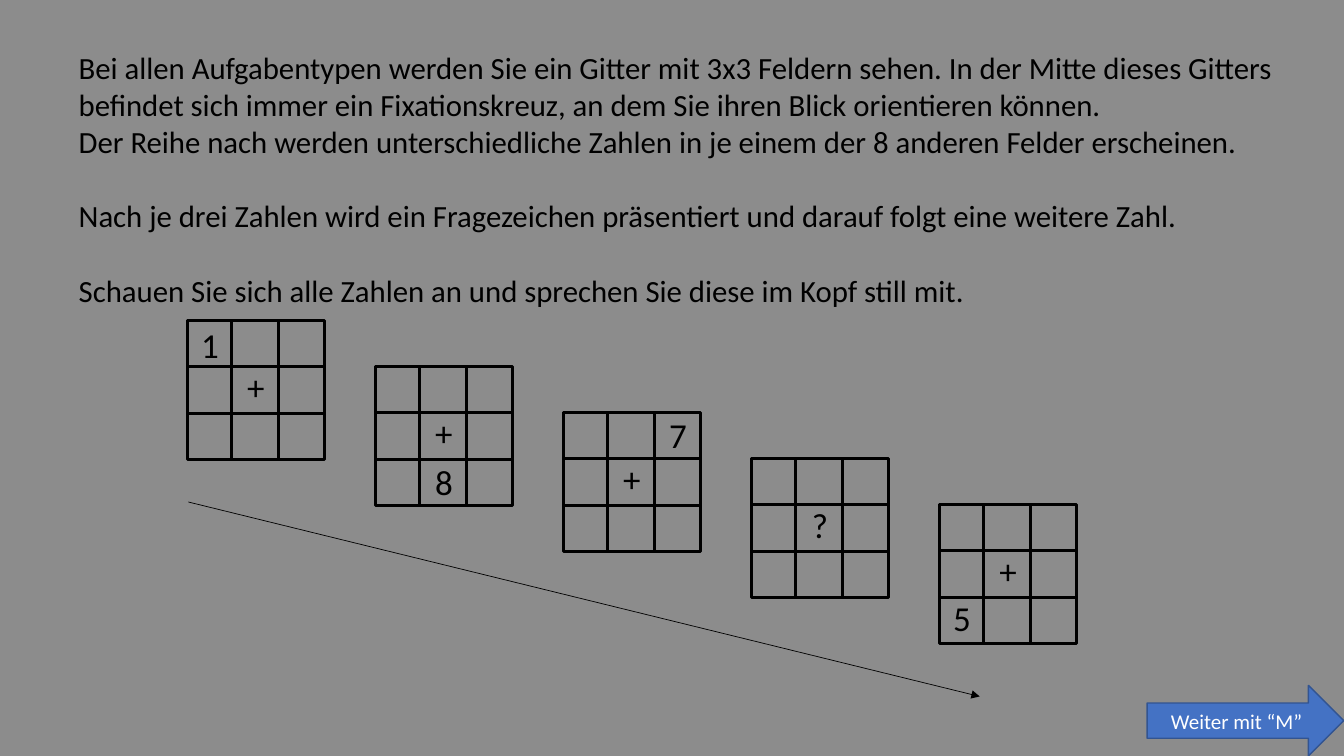
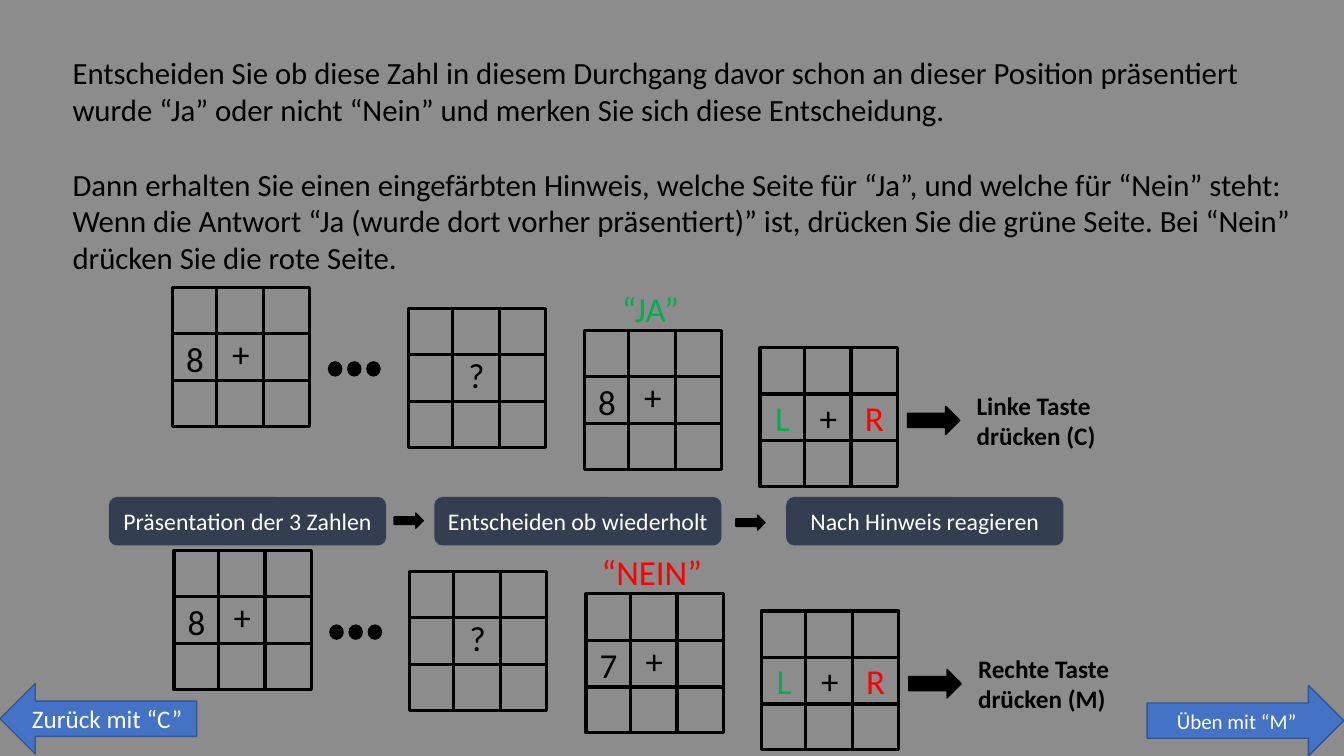
"""Build two instruction slides for a 3x3 grid memory task."""
from dataclasses import dataclass

from lxml.etree import SubElement
from pptx import Presentation
from pptx.dml.color import RGBColor
from pptx.enum.shapes import MSO_CONNECTOR, MSO_SHAPE
from pptx.enum.text import MSO_ANCHOR, MSO_AUTO_SIZE, PP_ALIGN
from pptx.oxml.ns import qn
from pptx.presentation import Presentation as Deck
from pptx.shapes.autoshape import Shape
from pptx.shapes.connector import Connector
from pptx.shapes.shapetree import GroupShapes
from pptx.slide import Slide
from pptx.text.text import TextFrame
from pptx.util import Pt


@dataclass(frozen=True)
class Theme:
    """Colours, font and type sizes of the deck."""
    font: str = "Calibri"
    background: str = "8C8C8C"
    ink: str = "000000"
    paper: str = "FFFFFF"
    button: str = "4472C4"
    button_edge: str = "325491"
    step: str = "333F50"
    yes: str = "00B050"
    no: str = "FF0000"
    body_size: int = 22
    mark_size: int = 25
    key_size: int = 18
    step_size: int = 17
    button_size: int = 15
    back_size: int = 18
    paragraph_gap: int = 27


THEME = Theme()


@dataclass(frozen=True)
class Box:
    """Position and size in points."""
    left: float
    top: float
    width: float
    height: float


@dataclass(frozen=True)
class Mark:
    """A character in one cell of a grid."""
    text: str
    column: int
    row: int
    color: str = THEME.ink
    rise: float = 0


@dataclass(frozen=True)
class Instruction:
    """A paragraph of the instructions and whether a gap precedes it."""
    text: str
    gap: bool = False


@dataclass(frozen=True)
class Trial:
    """One worked example, from the numbers to the key press."""
    left: float
    top: float
    probe: str
    answer: str
    color: str
    key: str


@dataclass(frozen=True)
class Step:
    """A labelled phase of the task."""
    text: str
    left: float
    width: float


GRID_WIDTH, GRID_HEIGHT = 98, 99.3
COLUMN_LINES, ROW_LINES = (31.5, 65), (33, 66.5)
CELL = 32.8
PLUS = Mark("+", 1, 1, rise=2.2)
QUESTION = Mark("?", 1, 1, rise=2.2)
HINTS = (Mark("L", 0, 1, THEME.yes), Mark("+", 1, 1), Mark("R", 2, 1, THEME.no))
NEXT_BOX = Box(819.4, 489.6, 140.4, 50.4)
BACK_BOX = Box(0, 488.2, 140.4, 50.4)

SEQUENCE = (
    (PLUS, Mark("1", 0, 0)),
    (PLUS, Mark("8", 1, 2)),
    (PLUS, Mark("7", 2, 0, rise=1)),
    (QUESTION,),
    (PLUS, Mark("5", 0, 2, rise=1.5)),
)
TRIALS = (
    Trial(123.3, 205.2, "8", "“JA”", THEME.yes, "Linke Taste drücken (C)"),
    Trial(124.3, 393.2, "7", "“NEIN”", THEME.no, "Rechte Taste drücken (M)"),
)
STEPS = (
    Step("Präsentation der 3 Zahlen", 77.8, 198),
    Step("Entscheiden ob wiederholt", 310.3, 205),
    Step("Nach Hinweis reagieren", 561.6, 198),
)
TASK = (
    Instruction("Bei allen Aufgabentypen werden Sie ein Gitter mit 3x3 Feldern sehen. In der Mitte dieses "
                "Gitters befindet sich immer ein Fixationskreuz, an dem Sie ihren Blick orientieren können."),
    Instruction("Der Reihe nach werden unterschiedliche Zahlen in je einem der 8 anderen Felder erscheinen."),
    Instruction("Nach je drei Zahlen wird ein Fragezeichen präsentiert und darauf folgt eine weitere Zahl.", True),
    Instruction("Schauen Sie sich alle Zahlen an und sprechen Sie diese im Kopf still mit.", True),
)
DECISION = (
    Instruction("Entscheiden Sie ob diese Zahl in diesem Durchgang davor schon an dieser Position präsentiert "
                "wurde “Ja” oder nicht “Nein” und merken Sie sich diese Entscheidung."),
    Instruction("Dann erhalten Sie einen eingefärbten Hinweis, welche Seite für “Ja”, und welche für “Nein” "
                "steht: Wenn die Antwort “Ja (wurde dort vorher präsentiert)” ist, drücken Sie die grüne "
                "Seite. Bei “Nein” drücken Sie die rote Seite.", True),
)


def rgb(color: str) -> RGBColor:
    """Turn a hex string into a colour."""
    return RGBColor.from_string(color)


def points(box: Box) -> tuple[Pt, Pt, Pt, Pt]:
    """Turn a box into lengths."""
    return Pt(box.left), Pt(box.top), Pt(box.width), Pt(box.height)


def write(frame: TextFrame, text: str, size: float, color: str, centred: bool = True, bold: bool = False) -> None:
    """Write one paragraph into a text frame."""
    frame.word_wrap = True
    paragraph = frame.paragraphs[0]
    paragraph.text = text
    paragraph.alignment = PP_ALIGN.CENTER if centred else PP_ALIGN.LEFT
    font = paragraph.font
    font.name, font.size, font.bold = THEME.font, Pt(size), bold
    font.color.rgb = rgb(color)


def draw_shape(shapes: GroupShapes, kind: MSO_SHAPE, box: Box, fill: str | None = None,
               edge: str | None = None, weight: float = 1) -> Shape:
    """Draw a flat preset shape."""
    shape = shapes.add_shape(kind, *points(box))
    shape.shadow.inherit = False
    if fill:
        shape.fill.solid()
        shape.fill.fore_color.rgb = rgb(fill)
    else:
        shape.fill.background()
    if edge:
        shape.line.color.rgb = rgb(edge)
        shape.line.width = Pt(weight)
    else:
        shape.line.fill.background()
    return shape


def draw_label(shapes: GroupShapes, kind: MSO_SHAPE, box: Box, text: str, size: float,
               fill: str, edge: str | None = None) -> None:
    """Draw a filled shape with centred white text."""
    frame = draw_shape(shapes, kind, box, fill, edge).text_frame
    frame.margin_left = frame.margin_right = 0
    frame.vertical_anchor = MSO_ANCHOR.MIDDLE
    write(frame, text, size, THEME.paper)


def draw_line(shapes: GroupShapes, x1: float, y1: float, x2: float, y2: float, weight: float) -> Connector:
    """Draw a straight line without a shadow."""
    line = shapes.add_connector(MSO_CONNECTOR.STRAIGHT, Pt(x1), Pt(y1), Pt(x2), Pt(y2))
    line.line.color.rgb = rgb(THEME.ink)
    line.line.width = Pt(weight)
    SubElement(line._element.spPr, qn("a:effectLst"))
    return line


def draw_grid(slide: Slide, left: float, top: float, marks: tuple[Mark, ...]) -> None:
    """Draw a 3x3 grid and its marks as one group."""
    shapes = slide.shapes.add_group_shape().shapes
    draw_shape(shapes, MSO_SHAPE.RECTANGLE, Box(left, top, GRID_WIDTH, GRID_HEIGHT), edge=THEME.ink, weight=2.25)
    for offset in COLUMN_LINES:
        draw_line(shapes, left + offset, top, left + offset, top + GRID_HEIGHT, 2.25)
    for offset in ROW_LINES:
        draw_line(shapes, left - 1, top + offset, left + GRID_WIDTH - 1, top + offset, 2.25)
    for mark in marks:
        box = Box(left + 3 + mark.column * CELL, top - 1.8 + mark.row * CELL - mark.rise, 26, 37.4)
        frame = shapes.add_textbox(*points(box)).text_frame
        frame.margin_left = frame.margin_right = 0
        write(frame, mark.text, THEME.mark_size, mark.color)


def add_instruction_slide(deck: Deck, box: Box, instructions: tuple[Instruction, ...]) -> Slide:
    """Add a slide with its instructions in the body placeholder."""
    slide = deck.slides.add_slide(deck.slide_layouts[1])
    title = slide.shapes.title.element
    title.getparent().remove(title)
    body = slide.placeholders[1]
    body.left, body.top, body.width, body.height = points(box)
    frame = body.text_frame
    frame.auto_size = MSO_AUTO_SIZE.NONE
    frame.vertical_anchor = MSO_ANCHOR.TOP
    for index, instruction in enumerate(instructions):
        paragraph = frame.add_paragraph() if index else frame.paragraphs[0]
        paragraph.text = instruction.text
        paragraph.line_spacing = 1.0
        paragraph.space_before = Pt(THEME.paragraph_gap if instruction.gap else 0)
        properties = paragraph._p.get_or_add_pPr()
        properties.set("marL", "0")
        properties.set("indent", "0")
        SubElement(properties, qn("a:buNone"))
        paragraph.font.name = THEME.font
        paragraph.font.size = Pt(THEME.body_size)
        paragraph.font.color.rgb = rgb(THEME.ink)
    return slide


def draw_next(slide: Slide, text: str) -> None:
    """Draw the forward button."""
    draw_label(slide.shapes, MSO_SHAPE.RIGHT_ARROW, NEXT_BOX, text, THEME.button_size,
               THEME.button, THEME.button_edge)


def draw_trial(slide: Slide, trial: Trial) -> None:
    """Draw one worked example."""
    left, top = trial.left, trial.top
    draw_grid(slide, left, top, (Mark("8", 0, 1, rise=-1), PLUS))
    draw_grid(slide, left + 168.2, top + 15.1, (QUESTION,))
    draw_grid(slide, left + 294.3, top + 31, (Mark(trial.probe, 0, 1, rise=-1), PLUS))
    draw_grid(slide, left + 419.6, top + 43.2, HINTS)
    dots = slide.shapes.add_group_shape().shapes
    for index in range(3):
        draw_shape(dots, MSO_SHAPE.OVAL, Box(left + 111.4 + index * 13.7, top + 53.3, 9.4, 10),
                   THEME.ink, THEME.ink)
    draw_shape(slide.shapes, MSO_SHAPE.RIGHT_ARROW, Box(left + 524.9, top + 85, 37.4, 20.2), THEME.ink, THEME.ink)
    key = slide.shapes.add_textbox(*points(Box(left + 567.2, top + 69.8, 121, 51.1)))
    write(key.text_frame, trial.key, THEME.key_size, THEME.ink, centred=False, bold=True)
    answer = slide.shapes.add_textbox(*points(Box(left + 296.3, top - 3.6, 90, 37.4)))
    write(answer.text_frame, trial.answer, THEME.mark_size, trial.color)


def build_task(deck: Deck) -> None:
    """Build the slide that explains the sequence of numbers."""
    slide = add_instruction_slide(deck, Box(49, 31, 895.7, 193.7), TASK)
    for index, marks in enumerate(SEQUENCE):
        draw_grid(slide, 134 + index * 134.3, 229 + index * 32.8, marks)
    time_arrow = draw_line(slide.shapes, 134.6, 358.6, 699.8, 497.5, 0.5)
    SubElement(time_arrow.line._get_or_add_ln(), qn("a:tailEnd"), type="triangle")
    draw_next(slide, "Weiter mit “M”")


def build_decision(deck: Deck) -> None:
    """Build the slide that explains the decision and the key press."""
    slide = add_instruction_slide(deck, Box(44.6, 34.6, 893.5, 167), DECISION)
    for trial in TRIALS:
        draw_trial(slide, trial)
    for step in STEPS:
        draw_label(slide.shapes, MSO_SHAPE.ROUNDED_RECTANGLE, Box(step.left, 355, step.width, 34.6),
                   step.text, THEME.step_size, THEME.step)
    for left, top in ((281.5, 366.5), (525.6, 367.9)):
        draw_shape(slide.shapes, MSO_SHAPE.RIGHT_ARROW, Box(left, top, 20.9, 10.8), THEME.ink, THEME.ink)
    draw_label(slide.shapes, MSO_SHAPE.LEFT_ARROW, BACK_BOX, "Zurück mit “C”", THEME.back_size,
               THEME.button, THEME.button_edge)
    draw_next(slide, "Üben mit “M”")


def main() -> None:
    """Build and save the deck."""
    deck = Presentation()
    deck.slide_width, deck.slide_height = Pt(960), Pt(540)
    backdrop = deck.slide_master.background.fill
    backdrop.solid()
    backdrop.fore_color.rgb = rgb(THEME.background)
    build_task(deck)
    build_decision(deck)
    deck.save("out.pptx")


if __name__ == "__main__":
    main()
